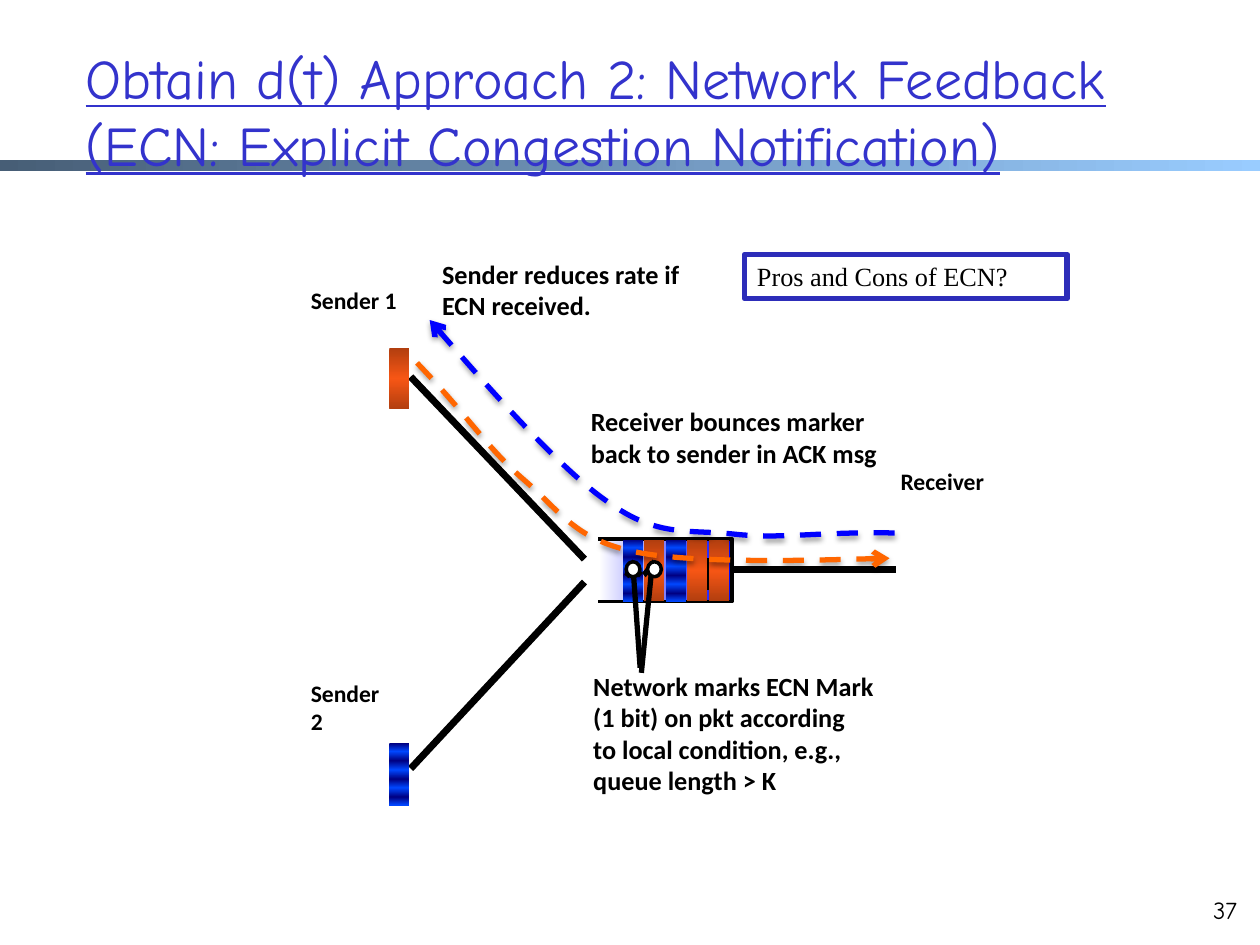
from dataclasses import dataclass

from lxml import etree
from pptx import Presentation
from pptx.dml.color import RGBColor
from pptx.enum.dml import MSO_LINE
from pptx.enum.shapes import MSO_CONNECTOR, MSO_SHAPE
from pptx.enum.text import MSO_ANCHOR, PP_ALIGN
from pptx.oxml.ns import qn
from pptx.util import Pt

RECT, OVAL = MSO_SHAPE.RECTANGLE, MSO_SHAPE.OVAL
STRAIGHT = MSO_CONNECTOR.STRAIGHT
DASH = MSO_LINE.DASH
TOP, MIDDLE = MSO_ANCHOR.TOP, MSO_ANCHOR.MIDDLE
LEFT, RIGHT = PP_ALIGN.LEFT, PP_ALIGN.RIGHT
RIGHTWARD, DOWNWARD = 0, 270


@dataclass(frozen=True)
class Theme:
    title_font: str = "Comic Neue"
    label_font: str = "Calibri"
    box_font: str = "Times New Roman"
    title_size: float = 32
    note_size: float = 15
    label_size: float = 13.5
    number_size: float = 14
    title: str = "3333CC"
    ink: str = "000000"
    paper: str = "FFFFFF"
    frame: str = "2D2DB9"
    data: str = "FF6600"
    ack: str = "0000FF"
    bar: tuple = ((0, "475E76"), (100, "99CCFF"))
    queue: tuple = ((0, "FFFFFF"), (100, "0000FF"))
    red: tuple = ((0, "B13E0F"), (50, "F75615"), (100, "B13E0F"))
    blue: tuple = ((0, "000082"), (13, "0047FF"), (28, "000082"),
                   (43, "0047FF"), (58, "000082"), (72, "0047FF"),
                   (87, "000082"), (100, "0047FF"))


T = Theme()


def rgb(color):
    return RGBColor.from_string(color)


def add_node(parent, tag, **attrs):
    return etree.SubElement(parent, qn(tag), {k: str(v) for k, v in attrs.items()})


def set_gradient(sp, stops, angle):
    sp.fill.gradient()
    sp.fill.gradient_angle = angle
    gs_list = sp.fill._xPr.find(qn("a:gradFill")).find(qn("a:gsLst"))
    gs_list.clear()
    for pos, color in stops:
        gs = add_node(gs_list, "a:gs", pos=pos * 1000)
        add_node(gs, "a:srgbClr", val=color)


def set_line(sp, color, width, arrow=False):
    sp.line.color.rgb = rgb(color)
    sp.line.width = Pt(width)
    if arrow:
        add_node(sp.line._get_or_add_ln(), "a:tailEnd", type="arrow")


def add_box(s, kind, x, y, w, h):
    sp = s.shapes.add_shape(kind, Pt(x), Pt(y), Pt(w), Pt(h))
    sp.shadow.inherit = False
    sp.line.fill.background()
    return sp


def add_gradient(s, x, y, w, h, stops, angle=DOWNWARD):
    set_gradient(add_box(s, RECT, x, y, w, h), stops, angle)


def set_text(sp, text, font, size, color=T.ink, bold=False, underline=False,
             anchor=TOP, align=LEFT):
    tf = sp.text_frame
    tf.text = text
    tf.word_wrap = True
    tf.vertical_anchor = anchor
    p = tf.paragraphs[0]
    p.alignment = align
    for r in p.runs:
        r.font.name, r.font.size = font, Pt(size)
        r.font.bold, r.font.underline = bold, underline
        r.font.color.rgb = rgb(color)


def add_text(s, x, y, w, h, text, font, size, **style):
    sp = s.shapes.add_textbox(Pt(x), Pt(y), Pt(w), Pt(h))
    set_text(sp, text, font, size, **style)


def add_label(s, x, y, w, h, text, size=T.note_size):
    add_text(s, x, y, w, h, text, T.label_font, size, bold=True)


def add_line(s, x1, y1, x2, y2, width, arrow=False):
    cn = s.shapes.add_connector(STRAIGHT, Pt(x1), Pt(y1), Pt(x2), Pt(y2))
    set_line(cn, T.ink, width, arrow)
    add_node(cn._element.spPr, "a:effectLst")


def add_path(s, points):
    start, *rest = [(Pt(x), Pt(y)) for x, y in points]
    fb = s.shapes.build_freeform(*start)
    fb.add_line_segments(rest, close=False)
    sp = fb.convert_to_shape()
    sp.shadow.inherit = False
    return sp


def add_flow(s, points, color):
    """Dashed Bezier arrow: a start, then two controls and an end per piece."""
    sp = add_path(s, points)
    sp.fill.background()
    sp.line.dash_style = DASH
    set_line(sp, color, 3, arrow=True)
    spPr = sp._element.spPr
    # Turn each three straight pieces into one cubic curve
    lines = list(spPr.iter(qn("a:lnTo")))
    for i in range(0, len(lines), 3):
        curve = add_node(lines[i].getparent(), "a:cubicBezTo")
        for line in lines[i:i + 3]:
            curve.append(line[0])
            line.getparent().remove(line)
    # Soft shadow below the arrow
    shadow = add_node(spPr.find(qn("a:effectLst")), "a:outerShdw", blurRad=Pt(3.1),
                      dist=Pt(1.6), dir=5400000, rotWithShape=0)
    add_node(add_node(shadow, "a:srgbClr", val=T.ink), "a:alpha", val=38000)


def add_header(s):
    add_gradient(s, 0, 91.7, 720, 5.8, T.bar, RIGHTWARD)
    add_text(s, 41.8, 18, 671.8, 90,
             "Obtain d(t) Approach 2: Network Feedback "
             "(ECN: Explicit Congestion Notification)",
             T.title_font, T.title_size, color=T.title, underline=True, anchor=MIDDLE)
    add_text(s, 681, 507.6, 33, 27, "37", T.title_font, T.number_size, align=RIGHT)


def add_network(s):
    # Links
    add_line(s, 417, 325.4, 512, 325.4, 4)
    add_line(s, 234.7, 215.3, 334, 319.5, 4)
    add_line(s, 234.7, 439.2, 334, 332.6, 4)
    # Queue, open on the left
    queue = add_path(s, [(342, 308), (418.3, 308), (418.3, 343.7), (342, 343.7)])
    set_gradient(queue, T.queue, RIGHTWARD)
    set_line(queue, T.ink, 2.25)
    add_line(s, 404.6, 319, 404.6, 337, 2.25)
    # Hosts
    for x, y, w, h, name in [(170.6, 159.8, 76.3, 23.8, "Sender 1"),
                             (170.6, 384.5, 62.6, 39.6, "Sender 2"),
                             (507.6, 263.5, 67.7, 23.8, "Receiver")]:
        add_label(s, x, y, w, h, name, T.label_size)
    # Packets at the senders and in the queue
    add_gradient(s, 222.5, 424.8, 11.5, 35.3, T.blue)
    add_gradient(s, 222.5, 198.7, 11.5, 35.3, T.red)
    for i, stops in enumerate([T.blue, T.red, T.blue, T.red, T.red]):
        add_gradient(s, 355.8 + 12.3 * i, 308.4, 11.5, 35.3, stops)


def add_feedback(s):
    # Data forward, acknowledgements back
    add_flow(s, [(238.3, 207.4), (268.6, 239), (278.6, 256.3), (299.5, 274.3),
                 (320.4, 292.3), (328.3, 308.2), (362.9, 315.4),
                 (398.2, 322.6), (508.3, 319), (508.3, 319)], T.data)
    add_flow(s, [(511.2, 304.6), (467.3, 303.8), (447.1, 308.2), (419.8, 305.3),
                 (392.4, 302.4), (375.8, 307.4), (347, 286.6),
                 (317.5, 266.4), (245.5, 182.9), (245.5, 182.9)], T.ack)
    # Marked packets
    add_line(s, 366.5, 384.5, 373, 319.7, 3, arrow=True)
    add_line(s, 365.8, 381.6, 361.4, 319.7, 3, arrow=True)
    for x in (370, 357.8):
        mark = add_box(s, OVAL, x, 321, 7.9, 8.6)
        mark.fill.solid()
        mark.fill.fore_color.rgb = rgb(T.paper)
        set_line(mark, T.ink, 2)
    # Explanations
    add_label(s, 331.9, 379.4, 176.4, 80,
              "Network marks ECN Mark (1 bit) on pkt according \v"
              "to local condition, e.g., queue length > K")
    add_label(s, 330.5, 228.2, 190.8, 43.2,
              "Receiver bounces marker back to sender in ACK msg")
    add_label(s, 245.5, 144, 190.8, 43.2, "Sender reduces rate if \vECN received.")


def add_question(s):
    sp = add_box(s, RECT, 425.5, 145.4, 184.3, 25.2)
    sp.fill.background()
    set_line(sp, T.frame, 3.25)
    set_text(sp, "Pros and Cons of ECN?", T.box_font, T.note_size)


def main():
    prs = Presentation()
    prs.slide_width, prs.slide_height = Pt(720), Pt(540)
    s = prs.slides.add_slide(prs.slide_layouts[6])
    add_header(s)
    add_network(s)
    add_feedback(s)
    add_question(s)
    prs.save("out.pptx")


if __name__ == "__main__":
    main()
